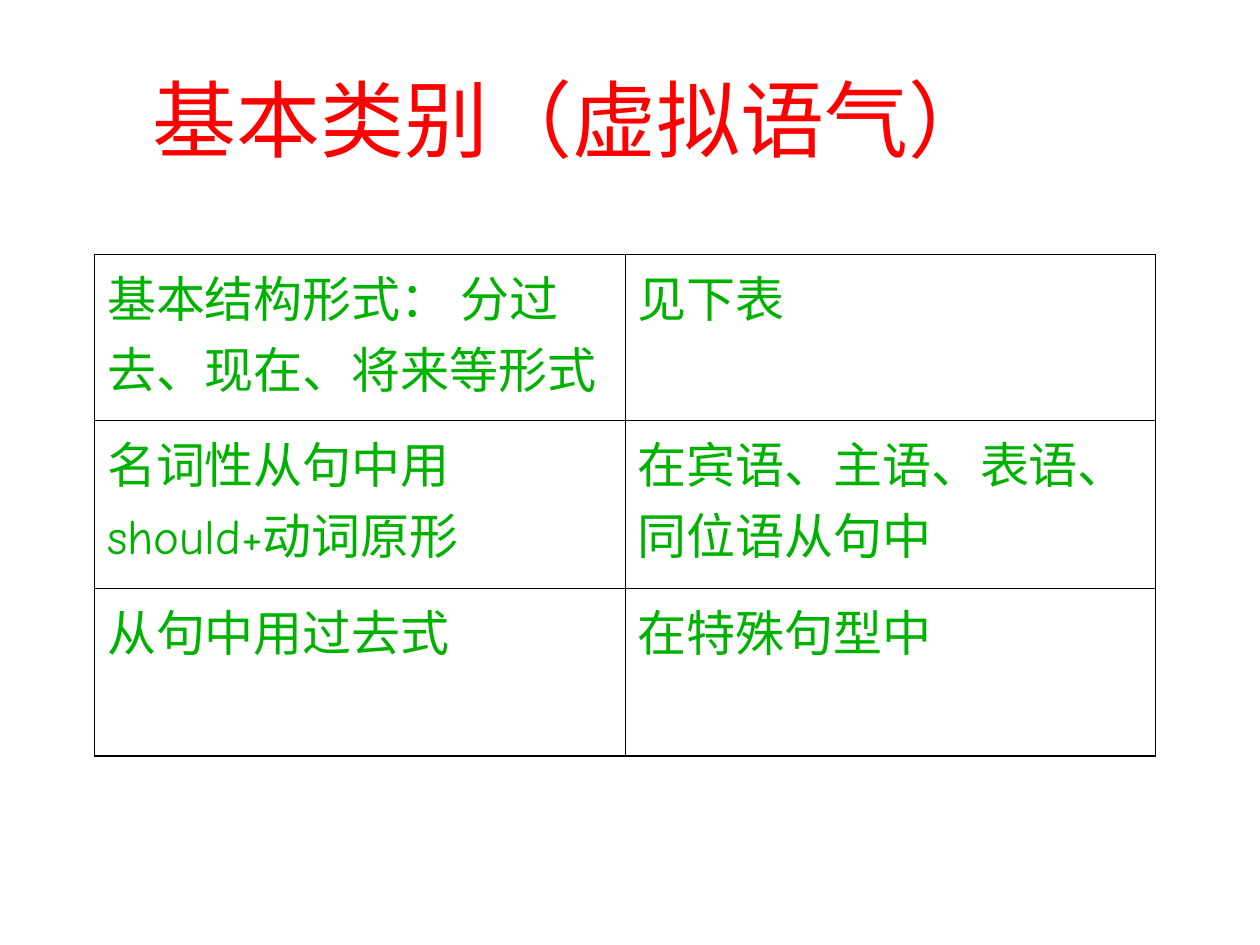
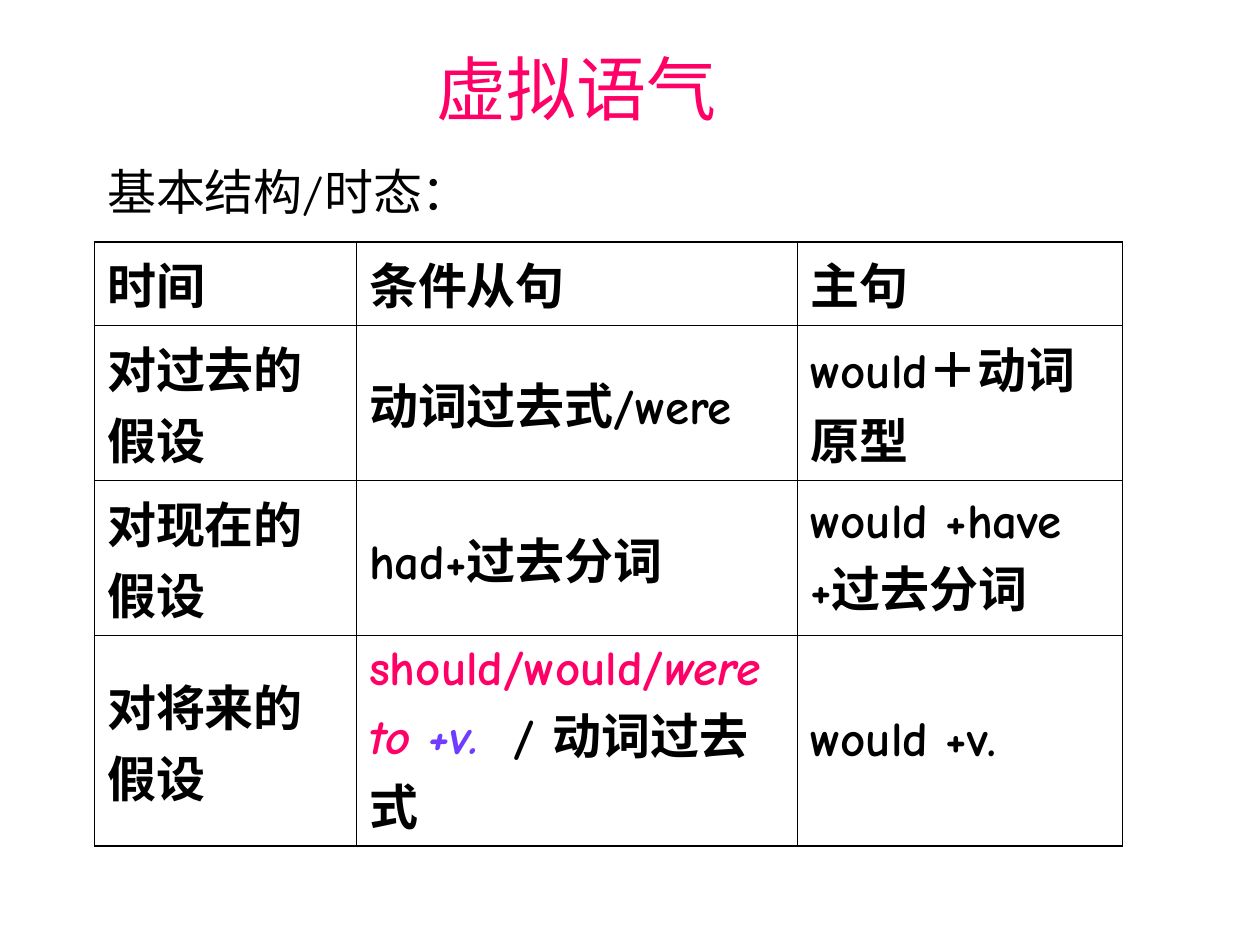
from lxml.etree import SubElement
from pptx import Presentation
from pptx.dml.color import RGBColor
from pptx.enum.text import MSO_ANCHOR, MSO_AUTO_SIZE, PP_ALIGN
from pptx.oxml.ns import qn
from pptx.util import Inches, Pt

FONT = "Comic Neue"
BLACK, RED, PINK, GREEN, VIOLET = "000000", "FF0000", "FF0066", "00B200", "703DFF"
OUTER, INNER = 1.08, 0.45


def write_spans(para, spans, bold=False):
    para.space_before = Pt(0)
    para._p.get_or_add_pPr().set("hangingPunct", "0")
    for text, size, color, italic in spans:
        span = para.add_run()
        span.text = text
        span.font.name = FONT
        span.font.size = Pt(size)
        span.font.bold = bold
        span.font.italic = italic
        span.font.color.rgb = RGBColor.from_string(color)


def add_grid(page, top, widths, heights, rows, color, bold, anchor):
    frame = page.shapes.add_table(
        len(heights), len(widths), Inches(0.75), Inches(top),
        Inches(sum(widths)), Inches(sum(heights)))
    table = frame.table
    table.first_row = False
    table.horz_banding = False
    for column, width in zip(table.columns, widths):
        column.width = Inches(width)
    last_row, last_column = len(heights) - 1, len(widths) - 1
    for r, (height, contents) in enumerate(zip(heights, rows)):
        table.rows[r].height = Inches(height)
        for c, content in enumerate(contents):
            cell = table.cell(r, c)
            cell.vertical_anchor = anchor
            cell.margin_left = cell.margin_right = Inches(0.1)
            cell.margin_top = cell.margin_bottom = Inches(0.05)
            spans = [(content, 28, color, False)] if isinstance(content, str) else content
            write_spans(cell.text_frame.paragraphs[0], spans, bold)
            edges = {"a:lnL": c == 0, "a:lnR": c == last_column,
                     "a:lnT": r == 0, "a:lnB": r == last_row}
            for tag, is_outer in edges.items():
                line = SubElement(cell._tc.get_or_add_tcPr(), qn(tag))
                line.set("w", str(Pt(OUTER if is_outer else INNER)))
                fill = SubElement(line, qn("a:solidFill"))
                SubElement(fill, qn("a:srgbClr")).set("val", BLACK)
            cell.fill.background()


deck = Presentation()
deck.slide_width, deck.slide_height = Inches(10), Inches(7.5)

titles = [
    (5, (0.79, 0.21, 7.51, 1.18), MSO_ANCHOR.BOTTOM,
     [("基本类别（虚拟语气）", 48, RED, False)]),
    (1, (0.75, 0.17, 7.51, 1), MSO_ANCHOR.MIDDLE,
     [(" ", 44, BLACK, False), ("虚拟语气", 40, PINK, False)]),
]
pages = []
for layout, place, anchor, spans in titles:
    page = deck.slides.add_slide(deck.slide_layouts[layout])
    title = page.shapes.title
    title.left, title.top, title.width, title.height = map(Inches, place)
    title.text_frame.auto_size = MSO_AUTO_SIZE.NONE
    title.text_frame.vertical_anchor = anchor
    para = title.text_frame.paragraphs[0]
    para.alignment = PP_ALIGN.CENTER
    write_spans(para, spans)
    pages.append(page)
categories, tenses = pages

add_grid(categories, 2.02, [4.21] * 2, [1.32, 1.33, 1.33], [
    ["基本结构形式： 分过去、现在、将来等形式", "见下表"],
    ["名词性从句中用should+动词原形", "在宾语、主语、表语、同位语从句中"],
    ["从句中用过去式", "在特殊句型中"],
], GREEN, False, MSO_ANCHOR.TOP)

body = tenses.placeholders[1]
body.left, body.top, body.width, body.height = map(Inches, (0.75, 1.23, 8.75, 4.75))
body.text_frame.auto_size = MSO_AUTO_SIZE.NONE
para = body.text_frame.paragraphs[0]
properties = para._p.get_or_add_pPr()
properties.set("marL", str(Inches(0.38)))
properties.set("indent", str(Inches(-0.38)))
SubElement(properties, qn("a:buNone"))
write_spans(para, [("基本结构/时态：", 28, BLACK, False)])

future_condition = [
    ("should/would/", 28, PINK, False),
    ("were to", 28, PINK, True),
    (" +v.", 28, VIOLET, True),
    ("  / 动词过去式", 28, BLACK, False),
]
add_grid(tenses, 1.92, [2.08, 3.5, 2.58], [0.66, 1.23, 1.23, 1.67], [
    ["时间", "条件从句", "主句"],
    ["对过去的假设", "动词过去式/were", "would＋动词原型"],
    ["对现在的假设", "had+过去分词", "would +have +过去分词"],
    ["对将来的假设", future_condition, "would +v."],
], BLACK, True, MSO_ANCHOR.MIDDLE)

deck.save("out.pptx")
